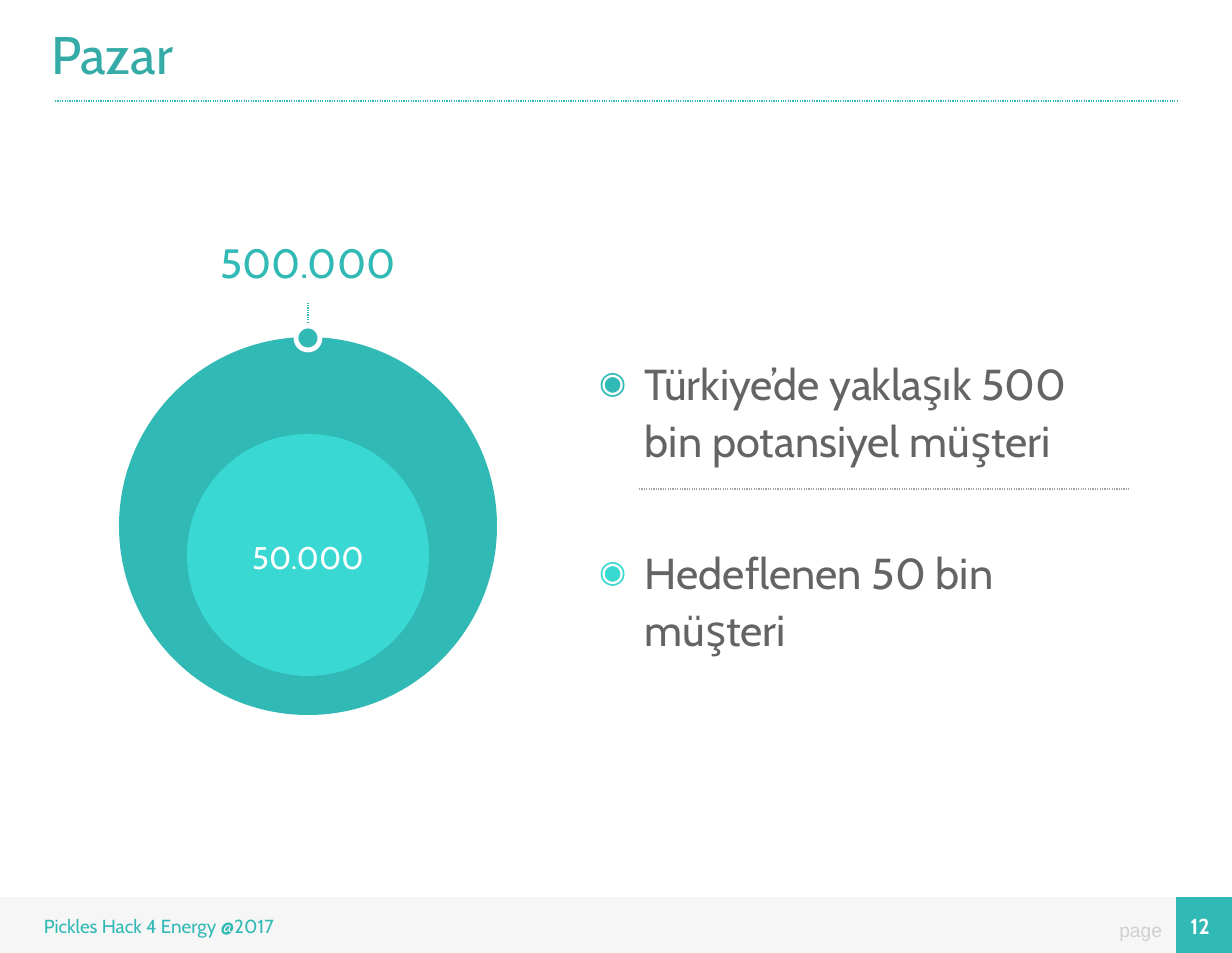
"""Build the market size slide with nested circles and two statements."""
from dataclasses import dataclass

from lxml.etree import SubElement
from pptx import Presentation
from pptx.dml.color import RGBColor
from pptx.enum.dml import MSO_LINE
from pptx.enum.shapes import MSO_CONNECTOR, MSO_SHAPE
from pptx.enum.text import MSO_ANCHOR, MSO_AUTO_SIZE, PP_ALIGN
from pptx.oxml.ns import qn
from pptx.util import Emu, Pt


@dataclass(frozen=True)
class Theme:
    font: str = "Cabin"
    plain_font: str = "Arial"
    teal: str = "31B9B5"
    title: str = "35ABA7"
    aqua: str = "3AD8D3"
    aqua_bullet: str = "39D8D1"
    text: str = "646464"
    rule: str = "A3A3A3"
    band: str = "F6F6F6"
    page: str = "D0D0D0"
    white: str = "FFFFFF"
    title_size: float = 44
    body_size: float = 36
    total_size: float = 34
    target_size: float = 26
    number_size: float = 18
    page_size: float = 16
    footer_size: float = 15.7


T = Theme()
PX = 10559
WIDTH, HEIGHT = 1232, 953
BAND = 56
INSET = 6
CENTER_X = 308

TITLE = "Pazar"
STATEMENTS = [
    ("Türkiye’de yaklaşık 500 bin potansiyel müşteri", T.teal),
    ("Hedeflenen 50 bin müşteri", T.aqua_bullet),
]
BANDS = [
    ((0, HEIGHT - BAND, WIDTH, BAND), T.band),
    ((WIDTH - BAND, HEIGHT - BAND, BAND, BAND), T.teal),
]
RULES = [
    ((55, 101), (1177, 101), T.teal),
    ((639, 489), (1129, 489), T.rule),
    ((CENTER_X, 330), (CENTER_X, 303), T.teal),
]
CIRCLES = [(526, 378, T.teal, 0), (555, 242, T.aqua, 0), (338, 24, T.teal, 4)]
LABELS = [
    ("500.000", (85, 229, 446, 61), T.total_size, T.teal, T.font, PP_ALIGN.CENTER, 1.1, False),
    ("50.000", (187, 531, 242, 48), T.target_size, T.white, T.font, PP_ALIGN.CENTER, 1.1, False),
    ("Pickles Hack 4 Energy @2017", (38, 908, 356, 36), T.footer_size, T.teal, T.font,
     PP_ALIGN.LEFT, 1, False),
    ("page", (1098, 912, 70, 35), T.page_size, T.page, T.plain_font, PP_ALIGN.RIGHT, 1, False),
    ("12", (1182, 908, 36, 35), T.number_size, T.white, T.font, PP_ALIGN.CENTER, 1, True),
]


def px(*values):
    return [Emu(v * PX) for v in values]


def place(shape, box):
    shape.left, shape.top, shape.width, shape.height = px(*box)


def frame(shape, anchor, wrap=True):
    tf = shape.text_frame
    tf.auto_size = MSO_AUTO_SIZE.NONE
    tf.word_wrap = wrap
    tf.vertical_anchor = anchor
    tf.margin_left, tf.margin_top, tf.margin_right, tf.margin_bottom = px(*[INSET] * 4)
    return tf


def style(p, size, color, font=T.font, align=PP_ALIGN.LEFT, spacing=1, bold=False):
    p.alignment, p.line_spacing = align, spacing
    for r in p.runs:
        r.font.size, r.font.name, r.font.bold = Pt(size), font, bold
        r.font.color.rgb = RGBColor.from_string(color)


def add_bullet(p, color, hang):
    pPr = p._p.get_or_add_pPr()
    pPr.set("marL", str(hang * PX))
    pPr.set("indent", str(-hang * PX))
    SubElement(SubElement(pPr, qn("a:buClr")), qn("a:srgbClr")).set("val", color)
    SubElement(pPr, qn("a:buSzPct")).set("val", "72000")
    SubElement(pPr, qn("a:buFont")).set("typeface", T.plain_font)
    SubElement(pPr, qn("a:buChar")).set("char", "◉")


def add_filled(s, kind, box, color, outline=0):
    sp = s.shapes.add_shape(kind, *px(*box))
    sp.shadow.inherit = False
    sp.fill.solid()
    sp.fill.fore_color.rgb = RGBColor.from_string(color)
    if outline:
        sp.line.color.rgb = RGBColor.from_string(T.white)
        sp.line.width = Pt(outline)
    else:
        sp.line.fill.background()


def add_rule(s, start, end, color):
    line = s.shapes.add_connector(MSO_CONNECTOR.STRAIGHT, *px(*start, *end))
    line.line.color.rgb = RGBColor.from_string(color)
    line.line.width = Pt(1)
    line.line.dash_style = MSO_LINE.ROUND_DOT
    SubElement(line._element.spPr, qn("a:effectLst"))


def fill_title(s):
    place(s.shapes.title, (45, 16, 142, 74))
    tf = frame(s.shapes.title, MSO_ANCHOR.TOP, wrap=False)
    tf.text = TITLE
    style(tf.paragraphs[0], T.title_size, T.title)


def fill_statements(s):
    body = s.placeholders[1]
    place(body, (593, 346, 535, 307))
    tf = frame(body, MSO_ANCHOR.TOP)
    tf.text = "\n".join(text for text, _ in STATEMENTS)
    for i, (p, (_, color)) in enumerate(zip(tf.paragraphs, STATEMENTS)):
        add_bullet(p, color, 46)
        style(p, T.body_size, T.text, spacing=1.1)
        p.space_before = Pt(62 if i else 0)


def main():
    prs = Presentation()
    prs.slide_width, prs.slide_height = px(WIDTH, HEIGHT)
    s = prs.slides.add_slide(prs.slide_layouts[1])
    fill_title(s)
    fill_statements(s)
    for box, color in BANDS:
        add_filled(s, MSO_SHAPE.RECTANGLE, box, color)
    for start, end, color in RULES:
        add_rule(s, start, end, color)
    for center_y, size, color, outline in CIRCLES:
        box = (CENTER_X - size // 2, center_y - size // 2, size, size)
        add_filled(s, MSO_SHAPE.OVAL, box, color, outline)
    for text, box, *look in LABELS:
        tf = frame(s.shapes.add_textbox(*px(*box)), MSO_ANCHOR.MIDDLE)
        tf.text = text
        style(tf.paragraphs[0], *look)
    prs.save("out.pptx")


if __name__ == "__main__":
    main()
